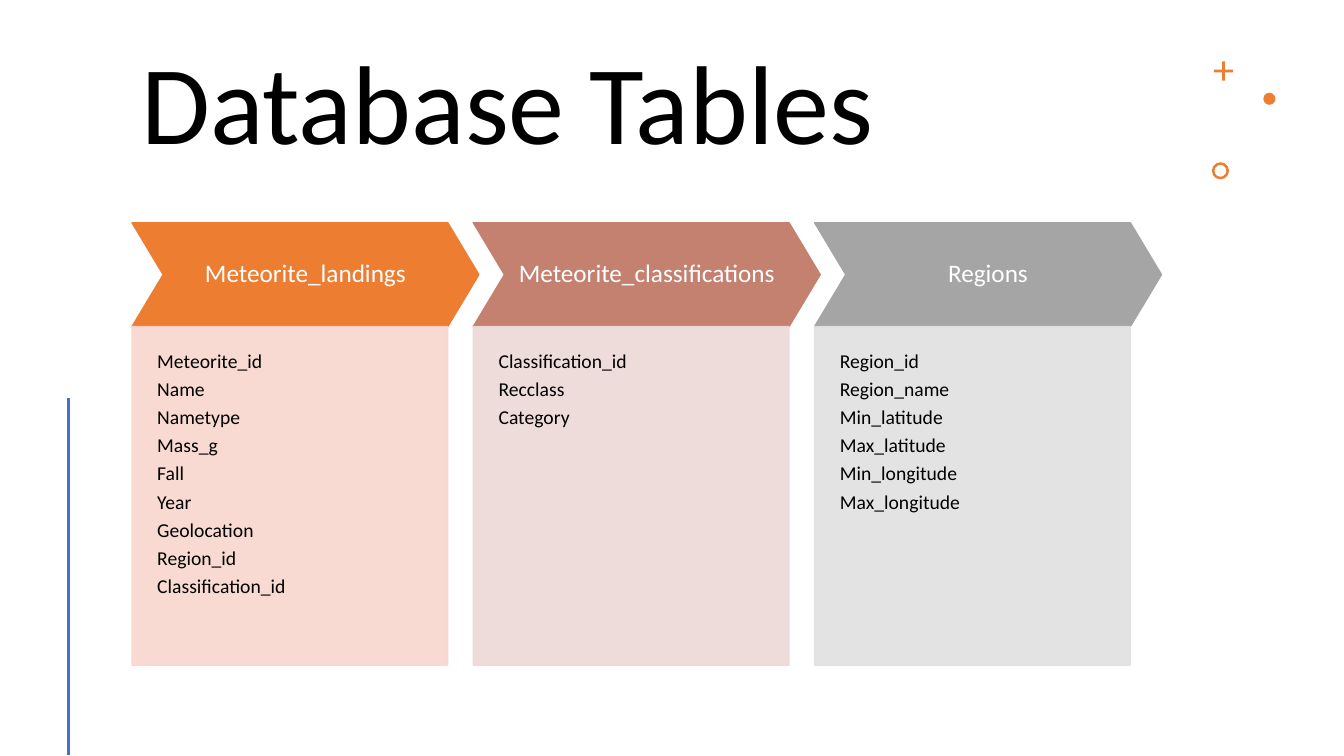
from lxml import etree
from pptx import Presentation
from pptx.dml.color import RGBColor
from pptx.enum.shapes import MSO_CONNECTOR, MSO_SHAPE
from pptx.enum.text import MSO_ANCHOR, MSO_AUTO_SIZE, PP_ALIGN
from pptx.oxml.ns import qn
from pptx.util import Inches, Pt

CHEVRON, RECTANGLE = MSO_SHAPE.CHEVRON, MSO_SHAPE.RECTANGLE
CROSS, OVAL, DONUT = MSO_SHAPE.CROSS, MSO_SHAPE.OVAL, MSO_SHAPE.DONUT
STRAIGHT = MSO_CONNECTOR.STRAIGHT
LEFT, CENTER = PP_ALIGN.LEFT, PP_ALIGN.CENTER
TOP, MIDDLE = MSO_ANCHOR.TOP, MSO_ANCHOR.MIDDLE
NO_AUTOFIT = MSO_AUTO_SIZE.NONE

FONT = "Calibri"
ORANGE, BLUE, BLACK, WHITE = "ED7D31", "4472C4", "000000", "FFFFFF"

# Grid: one column per database table, a header row above a field row
GRID_LEFT, COLUMN_STEP = 1.31, 3.385
HEADER_TOP, HEADER_WIDTH, HEADER_HEIGHT = 2.21, 3.44, 1.03
FIELDS_TOP, FIELDS_WIDTH, FIELDS_HEIGHT = HEADER_TOP + HEADER_HEIGHT, 3.13, 3.36

# Table name, header colour, panel colour, field names
TABLES = [
    ("Meteorite_landings", ORANGE, "F8D7CE",
     ["Meteorite_id", "Name", "Nametype", "Mass_g", "Fall", "Year",
      "Geolocation", "Region_id", "Classification_id"]),
    ("Meteorite_classifications", "C48170", "EDD9D7",
     ["Classification_id", "Recclass", "Category"]),
    ("Regions", "A5A5A5", "E1E1E1",
     ["Region_id", "Region_name", "Min_latitude", "Max_latitude",
      "Min_longitude", "Max_longitude"]),
]

# Preset, left, top, size, adjustment
ORNAMENTS = [
    (CROSS, 12.04, 0.61, 0.19, 0.43),
    (OVAL, 12.53, 0.92, 0.12, None),
    (DONUT, 12.02, 1.61, 0.17, 0.15),
]


def color(hex_text):
    return RGBColor.from_string(hex_text)


def set_opacity(fill_owner, percent):
    for tint in fill_owner.iter(qn("a:srgbClr")):
        etree.SubElement(tint, qn("a:alpha"), val=str(percent * 1000))


def write_text(frame, lines, size, ink=BLACK, align=LEFT, anchor=TOP,
               space_after=0, insets=(0.1, 0.05, 0.1, 0.05)):
    frame.word_wrap = True
    frame.auto_size = NO_AUTOFIT
    frame.vertical_anchor = anchor
    (frame.margin_left, frame.margin_top,
     frame.margin_right, frame.margin_bottom) = map(Inches, insets)
    for index, line in enumerate(lines):
        para = frame.add_paragraph() if index else frame.paragraphs[0]
        para.alignment = align
        para.line_spacing = 0.9
        para.space_after = Pt(space_after)
        span = para.add_run()
        span.text = line
        span.font.name = FONT
        span.font.size = Pt(size)
        span.font.color.rgb = color(ink)


def add_box(page, preset, left, top, width, height, fill,
            outlined=False, adjustment=None, opacity=100):
    box = page.shapes.add_shape(preset, *map(Inches, (left, top, width, height)))
    box.shadow.inherit = False
    box.fill.solid()
    box.fill.fore_color.rgb = color(fill)
    if outlined:
        box.line.color.rgb = color(fill)
        box.line.width = Pt(1)
    else:
        box.line.fill.background()
    if adjustment is not None:
        box.adjustments[0] = adjustment
    if opacity < 100:
        set_opacity(box.fill._xPr, opacity)
    return box


def add_table_column(page, column, name, header_fill, panel_fill, fields):
    left = GRID_LEFT + column * COLUMN_STEP
    header = add_box(page, CHEVRON, left, HEADER_TOP, HEADER_WIDTH, HEADER_HEIGHT,
                     header_fill, outlined=True, adjustment=0.3)
    write_text(header.text_frame, [name], 18, ink=WHITE, align=CENTER,
               anchor=MIDDLE, insets=(0.1, 0.13, 0.1, 0.13))
    panel = add_box(page, RECTANGLE, left, FIELDS_TOP, FIELDS_WIDTH, FIELDS_HEIGHT,
                    panel_fill, outlined=True, opacity=90)
    write_text(panel.text_frame, fields, 14, space_after=4.9,
               insets=(0.25, 0.25, 0.25, 0.49))


def add_line(page, start, end, ink, width):
    line = page.shapes.add_connector(STRAIGHT, *map(Inches, start + end))
    line.line.color.rgb = color(ink)
    line.line.width = Pt(width)
    etree.SubElement(line._element.spPr, qn("a:effectLst"))


def add_title(page, text):
    title = page.shapes.title
    title.left, title.top, title.width, title.height = map(
        Inches, (1.3, 0.42, 10.23, 1.31))
    write_text(title.text_frame, [text], 80, anchor=MIDDLE)


def main():
    deck = Presentation()
    deck.slide_width, deck.slide_height = Inches(13.33), Inches(7.5)
    page = deck.slides.add_slide(deck.slide_layouts[5])

    add_title(page, "Database Tables")

    # Corner ornaments and side line
    for preset, left, top, size, adjustment in ORNAMENTS:
        add_box(page, preset, left, top, size, size, ORANGE, adjustment=adjustment)
    add_line(page, (0.68, 3.95), (0.68, 7.49), BLUE, 2)

    # Database tables
    for column, table in enumerate(TABLES):
        add_table_column(page, column, *table)

    deck.save("out.pptx")


if __name__ == "__main__":
    main()
